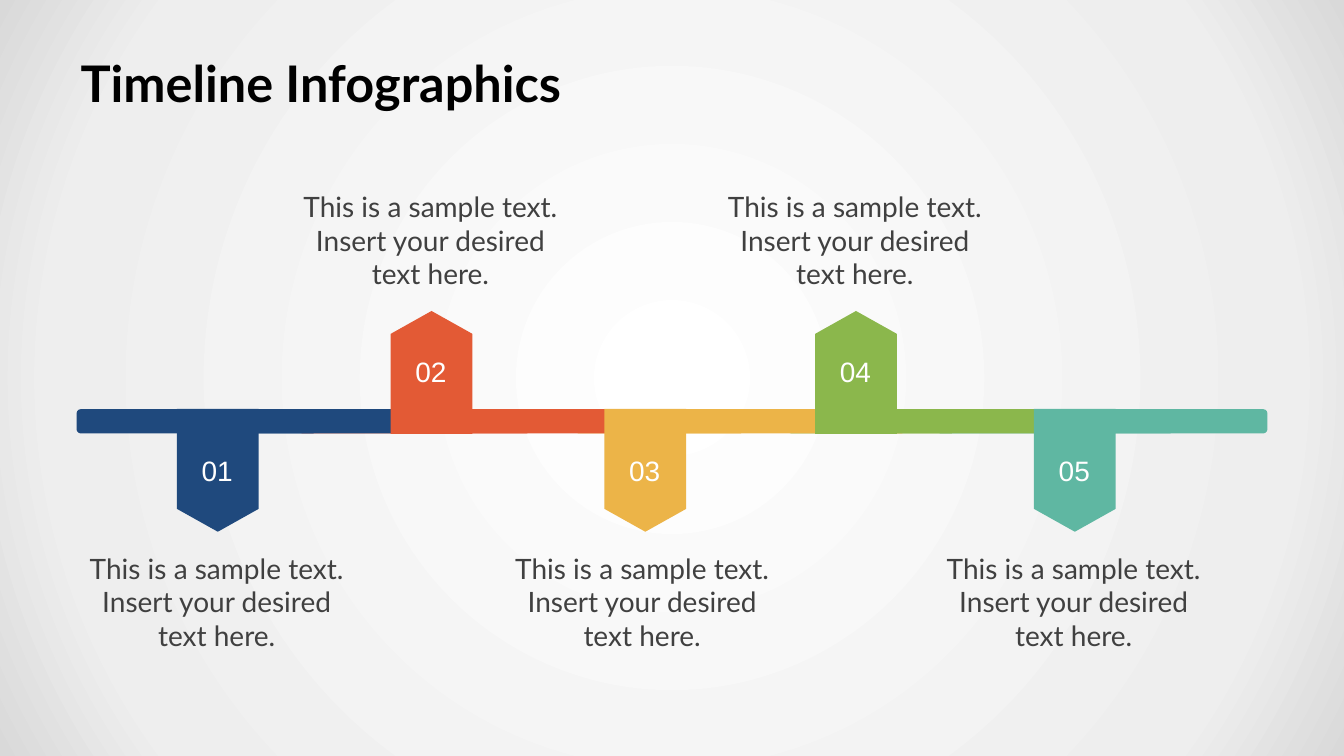
from lxml.etree import fromstring
from pptx import Presentation
from pptx.dml.color import RGBColor
from pptx.enum.shapes import MSO_SHAPE
from pptx.enum.text import MSO_ANCHOR, MSO_AUTO_SIZE, PP_ALIGN
from pptx.oxml.ns import qn
from pptx.util import Emu, Pt

PX = 9144
BLACK = RGBColor(0x00, 0x00, 0x00)
GREY = RGBColor(0x40, 0x40, 0x40)
WHITE = RGBColor(0xFF, 0xFF, 0xFF)
NAVY = RGBColor(0x1F, 0x49, 0x7D)
ORANGE = RGBColor(0xE3, 0x5A, 0x35)
YELLOW = RGBColor(0xEC, 0xB4, 0x48)
GREEN = RGBColor(0x8B, 0xB7, 0x4C)
TEAL = RGBColor(0x5F, 0xB7, 0xA2)
BACKDROP = [(0, WHITE), (81, RGBColor(0xEE, 0xEE, 0xEE)), (100, RGBColor(0xD9, 0xD9, 0xD9))]

CAPTION = "This is a sample text. Insert your desired text here."
BAR_TOP, BAR_WIDTH, BAR_HEIGHT = 406, 328, 24
TAG_LENGTH, TAG_WIDTH = 122, 81
# number, colour, bar left, tag centre, caption left, points up
STEPS = [
    ("01", NAVY, 76, 216, 73, False),
    ("02", ORANGE, 296, 428, 285, True),
    ("03", YELLOW, 570, 640, 495, False),
    ("04", GREEN, 781, 849, 706, True),
    ("05", TEAL, 929, 1066, 923, False),
]


class Timeline:
    """Draws timeline parts on the current slide in one style."""

    def __init__(self, prs):
        self.s = prs.slides.add_slide(prs.slide_layouts[6])

    def background(self, stops):
        self.s.background.fill.gradient()
        grad = next(self.s.element.iter(qn("a:gradFill")))
        gs = "".join(
            f'<a:gs pos="{pos * 1000}"><a:srgbClr val="{color}"/></a:gs>' for pos, color in stops
        )
        grad.getparent().replace(grad, fromstring(
            '<a:gradFill xmlns:a="http://schemas.openxmlformats.org/drawingml/2006/main" '
            f'rotWithShape="1"><a:gsLst>{gs}</a:gsLst><a:path path="circle">'
            '<a:fillToRect l="50000" t="50000" r="50000" b="50000"/></a:path></a:gradFill>'
        ))

    def shape(self, parent, kind, box, color):
        sp = parent.shapes.add_shape(kind, *(Emu(v * PX) for v in box))
        sp.shadow.inherit = False
        sp.fill.solid()
        sp.fill.fore_color.rgb = color
        sp.line.fill.background()
        return sp

    def text(self, parent, text, box, font, color, size=20, align=PP_ALIGN.CENTER):
        sp = parent.shapes.add_textbox(*(Emu(v * PX) for v in box))
        tf = sp.text_frame
        tf.word_wrap = True
        tf.auto_size = MSO_AUTO_SIZE.SHAPE_TO_FIT_TEXT
        p = tf.paragraphs[0]
        p.text = text
        p.alignment = align
        p.font.name = font
        p.font.size = Pt(size)
        p.font.color.rgb = color
        return tf

    def title(self, text):
        tf = self.text(self.s, text, (67, 43, 1200, 78), "Lato", BLACK, 36, PP_ALIGN.LEFT)
        tf.auto_size = MSO_AUTO_SIZE.NONE
        tf.vertical_anchor = MSO_ANCHOR.MIDDLE
        tf.margin_left = tf.margin_right = Emu(13 * PX)
        tf.margin_top = tf.margin_bottom = Emu(7 * PX)
        tf.paragraphs[0].font.bold = True

    def bar(self, left, color):
        box = (left, BAR_TOP, BAR_WIDTH, BAR_HEIGHT)
        self.shape(self.s, MSO_SHAPE.ROUNDED_RECTANGLE, box, color)

    def tag(self, number, color, center, up):
        group = self.s.shapes.add_group_shape()
        box = (center - TAG_LENGTH // 2, 329 if up else 426, TAG_LENGTH, TAG_WIDTH)
        sp = self.shape(group, MSO_SHAPE.PENTAGON, box, color)
        sp.adjustments[0] = 0.28
        sp.rotation = 270 if up else 90
        joint = (center + TAG_WIDTH // 2, BAR_TOP, 55, BAR_HEIGHT)
        self.shape(group, MSO_SHAPE.RECTANGLE, joint, color)
        self.text(group, number, (center - 34, 347 if up else 445, 67, 44), "Arial", WHITE)

    def caption(self, left, up):
        self.text(self.s, CAPTION, (left, 183 if up else 542, 284, 111), "Lato", GREY)


def main():
    prs = Presentation()
    prs.slide_width, prs.slide_height = Emu(1333 * PX), Emu(750 * PX)
    timeline = Timeline(prs)
    timeline.background(BACKDROP)
    timeline.title("Timeline Infographics")
    for _, color, bar_left, *_ in reversed(STEPS):
        timeline.bar(bar_left, color)
    for number, color, _, center, caption_left, up in STEPS:
        timeline.tag(number, color, center, up)
        timeline.caption(caption_left, up)
    prs.save("out.pptx")


if __name__ == "__main__":
    main()
